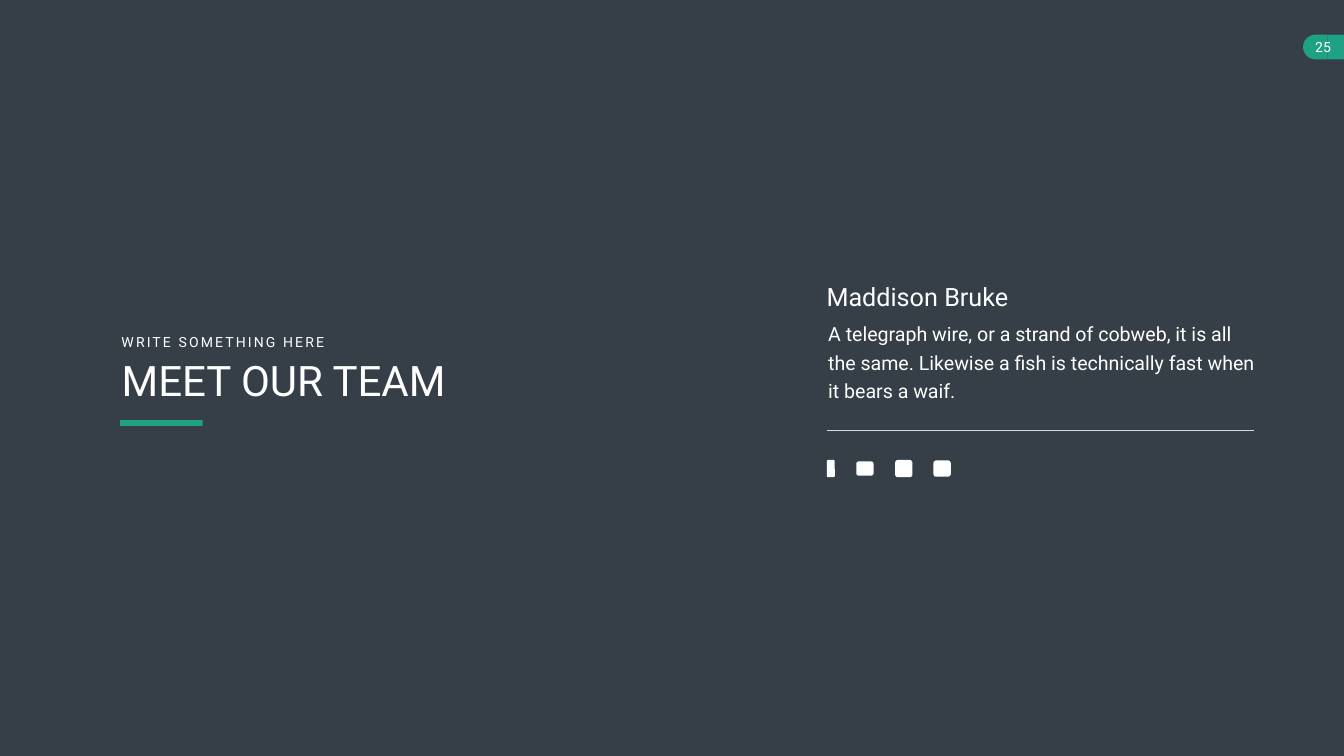
"""Builds the team introduction slide."""
import pptx
import pptx.dml.color
import pptx.enum.shapes
import pptx.enum.text
import pptx.oxml.ns
import pptx.util
from lxml import etree

PX = 9525
BACKGROUND = pptx.dml.color.RGBColor(0x36, 0x3E, 0x48)
GREEN = pptx.dml.color.RGBColor(0x1E, 0xA1, 0x85)
WHITE = pptx.dml.color.RGBColor(0xFF, 0xFF, 0xFF)
RULE_GREY = pptx.dml.color.RGBColor(0xD9, 0xD9, 0xD9)
FONT = "Roboto"
SHAPES = pptx.enum.shapes.MSO_SHAPE
ALIGN = pptx.enum.text.PP_ALIGN


class SlideBuilder:
    """Holds the style and the current slide."""

    def __init__(self, presentation):
        self.slide = presentation.slides.add_slide(presentation.slide_layouts[5])
        fill = self.slide.background.fill
        fill.solid()
        fill.fore_color.rgb = BACKGROUND

    def style_text(self, shape, text, size, align=ALIGN.LEFT, wrap=True, spacing=None, tracking=None):
        """Put styled text into a shape."""
        frame = shape.text_frame
        frame.text = text
        frame.word_wrap = wrap
        frame.auto_size = pptx.enum.text.MSO_AUTO_SIZE.NONE
        frame.vertical_anchor = pptx.enum.text.MSO_ANCHOR.TOP
        paragraph = frame.paragraphs[0]
        paragraph.alignment = align
        if spacing:
            paragraph.line_spacing = pptx.util.Pt(spacing)
        run = paragraph.runs[0]
        run.font.name = FONT
        run.font.size = pptx.util.Pt(size)
        run.font.color.rgb = WHITE
        if tracking:
            run._r.get_or_add_rPr().set("spc", str(tracking * 100))
        return frame

    def title(self, left, top, width, height, text, size):
        """Move and fill the title placeholder."""
        shape = self.slide.shapes.title
        shape.left, shape.top = left * PX, top * PX
        shape.width, shape.height = width * PX, height * PX
        self.style_text(shape, text, size)

    def text(self, left, top, width, height, text, size, **style):
        """Add a text box."""
        shape = self.slide.shapes.add_textbox(left * PX, top * PX, width * PX, height * PX)
        return self.style_text(shape, text, size, **style)

    def shape(self, kind, left, top, width, height, color, rotation=0):
        """Add a plain filled shape."""
        shape = self.slide.shapes.add_shape(kind, left * PX, top * PX, width * PX, height * PX)
        shape.rotation = rotation
        shape.shadow.inherit = False
        shape.fill.solid()
        shape.fill.fore_color.rgb = color
        shape.line.fill.background()

    def rule(self, left, right, top, color, weight):
        """Add a horizontal line."""
        line = self.slide.shapes.add_connector(
            pptx.enum.shapes.MSO_CONNECTOR.STRAIGHT, left * PX, top * PX, right * PX, top * PX)
        line.line.color.rgb = color
        line.line.width = pptx.util.Pt(weight)
        etree.SubElement(line._element.spPr, pptx.oxml.ns.qn("a:effectLst"))


def main():
    """Build and save the slide."""
    presentation = pptx.Presentation()
    presentation.slide_width = 2560 * PX
    presentation.slide_height = 1440 * PX
    builder = SlideBuilder(presentation)

    builder.shape(SHAPES.FLOWCHART_DELAY, 2482, 66, 47, 47, GREEN, rotation=180)
    builder.shape(SHAPES.RECTANGLE, 2529, 66, 31, 47, GREEN)
    page_number = builder.text(2484, 64, 72, 52, "25", 20, align=ALIGN.CENTER, wrap=False)
    page_number.margin_left = page_number.margin_right = 19 * PX
    page_number.margin_top = page_number.margin_bottom = 10 * PX

    builder.shape(SHAPES.RECTANGLE, 229, 800, 157, 11, GREEN)
    builder.title(222, 670, 678, 107, "MEET OUR TEAM", 60)
    builder.text(222, 630, 418, 42, "WRITE SOMETHING HERE", 20, wrap=False, tracking=3)

    builder.text(1565, 531, 519, 68, "Maddison Bruke", 36)
    builder.text(
        1568, 599, 831, 170,
        "A telegraph wire, or a strand of cobweb, it is all the same. "
        "Likewise a fish is technically fast when it bears a waif.",
        28, spacing=40.8)
    builder.rule(1575, 2389, 819, RULE_GREY, 0.5)

    icon_middle = 892
    for left, width, height in ((1575, 15, 33), (1631, 33, 27), (1705, 33, 33), (1778, 33, 31)):
        builder.shape(SHAPES.ROUNDED_RECTANGLE, left, icon_middle - height // 2, width, height, WHITE)

    presentation.save("out.pptx")


if __name__ == "__main__":
    main()
